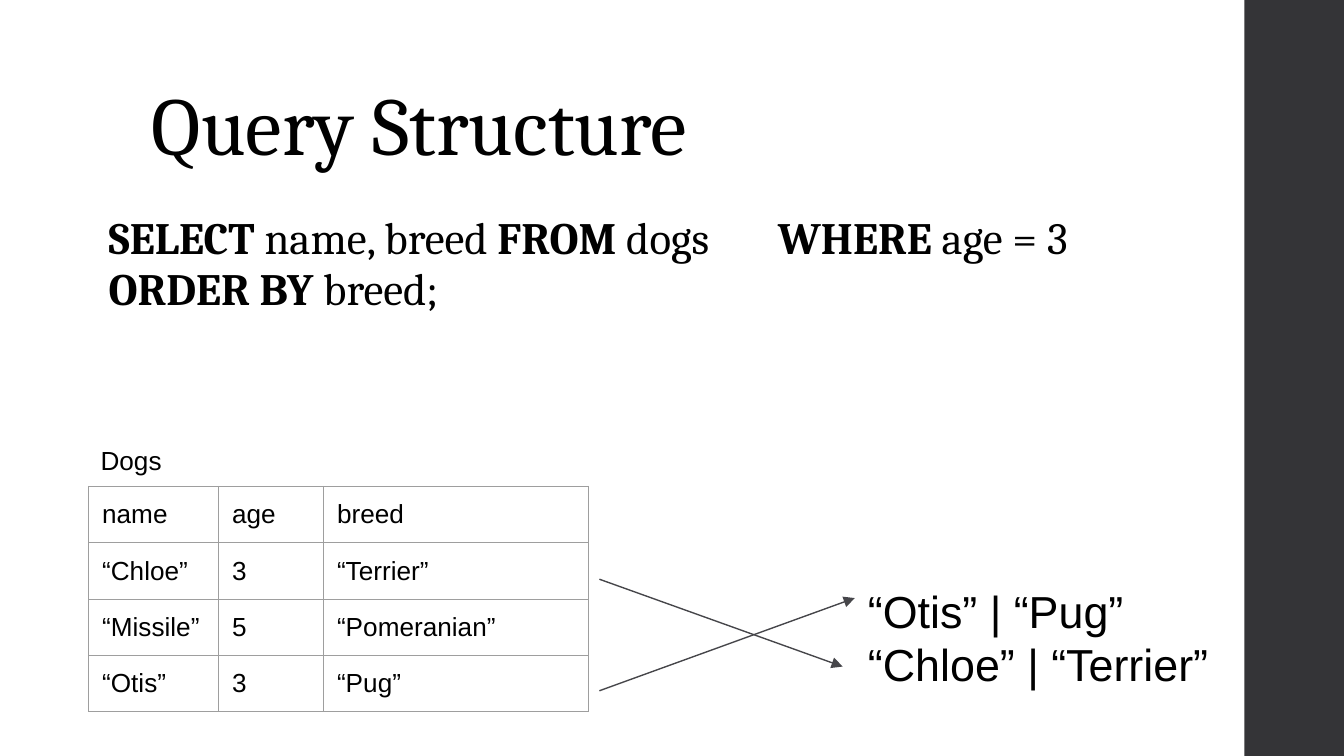
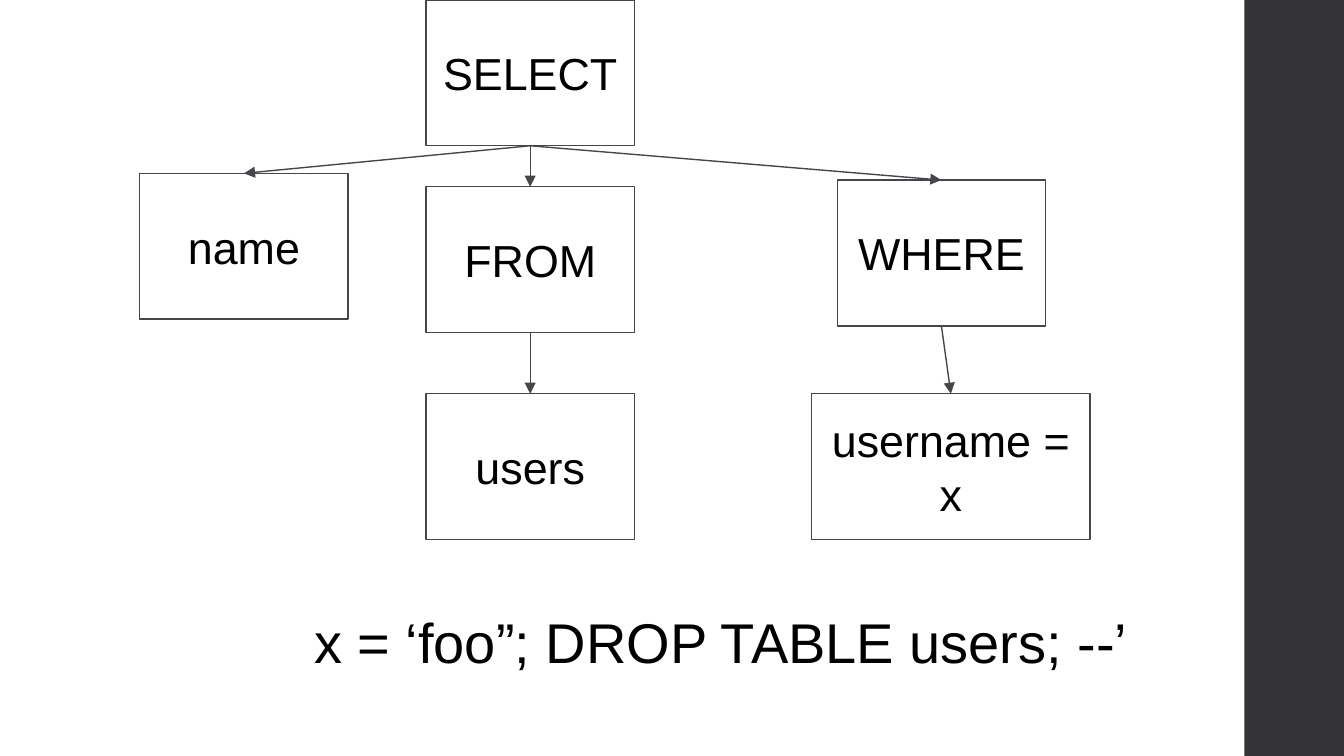
from collections import namedtuple

from lxml import etree
from pptx import Presentation
from pptx.dml.color import RGBColor
from pptx.enum.shapes import MSO_CONNECTOR, MSO_SHAPE
from pptx.enum.text import MSO_ANCHOR, MSO_AUTO_SIZE, PP_ALIGN
from pptx.oxml.ns import qn
from pptx.util import Inches, Pt

STRAIGHT = MSO_CONNECTOR.STRAIGHT
RECT = MSO_SHAPE.RECTANGLE
TOP, MIDDLE, BOTTOM = MSO_ANCHOR.TOP, MSO_ANCHOR.MIDDLE, MSO_ANCHOR.BOTTOM
NO_AUTOFIT = MSO_AUTO_SIZE.NONE
LEFT, CENTER = PP_ALIGN.LEFT, PP_ALIGN.CENTER

WIDTH, HEIGHT = Inches(10), Inches(5.625)
COLS, ROWS = 100, 56.25
BLACK, BAND, LINE, GRID = "000000", "343437", "46464A", "9E9E9E"
SANS, SERIF = "Arial", "Cambria"
INSET = Inches(0.1)
TITLE_ONLY, BLANK = 5, 6
SIDE_TOP, SIDE_BOTTOM = 0, 2

Box = namedtuple("Box", "x y w h")

DOGS = [
    ("name", "age", "breed"),
    ("“Chloe”", "3", "“Terrier”"),
    ("“Missile”", "5", "“Pomeranian”"),
    ("“Otis”", "3", "“Pug”"),
]
NODE_W, NODE_H = 15.5, 10.85
NODES = {
    "SELECT": (21.3, 0, NODE_W),
    "name": (0, 12.9, NODE_W),
    "FROM": (21.3, 13.9, NODE_W),
    "users": (21.3, 29.3, NODE_W),
    "WHERE": (51.9, 13.4, NODE_W),
    "username = x": (50, 29.3, 20.7),
}
EDGES = [
    ("SELECT", "FROM"),
    ("SELECT", "name"),
    ("SELECT", "WHERE"),
    ("FROM", "users"),
    ("WHERE", "username = x"),
]


def color(value):
    """Return the colour of a hex string."""
    return RGBColor.from_string(value)


def col(n):
    """Return the length of n grid columns."""
    return round(WIDTH * n / COLS)


def row(n):
    """Return the length of n grid rows."""
    return round(HEIGHT * n / ROWS)


def place(box):
    """Return left, top, width and height of a grid box."""
    return col(box.x), row(box.y), col(box.w), row(box.h)


def put_text(tf, *lines, size=24, font=SANS, align=LEFT, anchor=TOP,
             spacing=None, tab=None):
    """Write one paragraph per line; ** switches bold on and off."""
    tf.word_wrap = True
    tf.auto_size = NO_AUTOFIT
    tf.vertical_anchor = anchor
    tf.margin_left = tf.margin_right = INSET
    tf.margin_top = tf.margin_bottom = INSET
    for i, line in enumerate(lines):
        p = tf.add_paragraph() if i else tf.paragraphs[0]
        if tab:
            tabs = etree.SubElement(p._p.get_or_add_pPr(), qn("a:tabLst"))
            etree.SubElement(tabs, qn("a:tab"), pos=str(col(tab)), algn="l")
        p.alignment = align
        if spacing:
            p.line_spacing = spacing
        for j, part in enumerate(line.split("**")):
            if part:
                r = p.add_run()
                r.text = part
                r.font.size = Pt(size)
                r.font.name = font
                r.font.bold = j % 2 == 1
                r.font.color.rgb = color(BLACK)


def add_text(s, box, *lines, **fmt):
    """Add a text box."""
    tf = s.shapes.add_textbox(*place(box)).text_frame
    put_text(tf, *lines, **fmt)


def add_rect(s, box, fill=None, line=None):
    """Add a flat rectangle."""
    sp = s.shapes.add_shape(RECT, *place(box))
    sp.shadow.inherit = False
    if fill:
        sp.fill.solid()
        sp.fill.fore_color.rgb = color(fill)
    else:
        sp.fill.background()
    if line:
        sp.line.color.rgb = color(line)
        sp.line.width = Pt(0.75)
    else:
        sp.line.fill.background()
    return sp


def add_arrow(s, x1=0, y1=0, x2=0, y2=0):
    """Add a thin arrow between two grid points."""
    cxn = s.shapes.add_connector(STRAIGHT, col(x1), row(y1), col(x2), row(y2))
    cxn.line.color.rgb = color(LINE)
    cxn.line.width = Pt(0.75)
    etree.SubElement(cxn.line._get_or_add_ln(), qn("a:tailEnd"), type="triangle")
    etree.SubElement(cxn._element.spPr, qn("a:effectLst"))
    return cxn


def add_slide(prs, layout):
    """Add a slide with the dark band on its right."""
    s = prs.slides.add_slide(prs.slide_layouts[layout])
    add_rect(s, Box(92.6, 0, COLS - 92.6, ROWS), fill=BAND)
    return s


def add_title(s, box, text):
    """Move and fill the title placeholder."""
    title = s.shapes.title
    title.left, title.top, title.width, title.height = place(box)
    put_text(title.text_frame, text, size=44, font=SERIF, anchor=BOTTOM,
             spacing=0.9)


def set_borders(cell):
    """Draw thin grey lines on all sides of a cell."""
    tcPr = cell._tc.get_or_add_tcPr()
    for i, side in enumerate(("lnL", "lnR", "lnT", "lnB")):
        ln = etree.Element(qn(f"a:{side}"), w=str(Pt(0.75)))
        fill = etree.SubElement(ln, qn("a:solidFill"))
        etree.SubElement(fill, qn("a:srgbClr"), val=GRID)
        tcPr.insert(i, ln)


def add_dogs(s, box):
    """Add the captioned table of dogs."""
    add_text(s, Box(box.x - 0.1, box.y - 4.1, 8.3, 2.9), "Dogs", size=14)
    frame = s.shapes.add_table(len(DOGS), len(DOGS[0]), *place(box))
    table = frame.table
    table.first_row = table.horz_banding = False
    for column, share in zip(table.columns, (0.26, 0.21, 0.53)):
        column.width = col(box.w * share)
    for i, record in enumerate(DOGS):
        for j, value in enumerate(record):
            cell = table.cell(i, j)
            put_text(cell.text_frame, value, size=14)
            cell.margin_left = cell.margin_right = INSET
            cell.margin_top = cell.margin_bottom = INSET
            cell.fill.background()
            set_borders(cell)


def add_result(s, box):
    """Add the sorted rows and the crossing arrows that lead to them."""
    add_arrow(s, box.x, box.y + 0.7, box.x + 18.1, box.y + 7.2)
    add_arrow(s, box.x, box.y + 9, box.x + 19, box.y + 2.1)
    add_text(s, Box(box.x + 19, box.y, box.w - 19, box.h),
             "“Otis” | “Pug”", "“Chloe” | “Terrier”")


def add_tree(s, box):
    """Add the syntax tree of the query."""
    nodes = {}
    for text, (x, y, w) in NODES.items():
        sp = add_rect(s, Box(box.x + x, box.y + y, w, NODE_H), line=LINE)
        put_text(sp.text_frame, text, align=CENTER, anchor=MIDDLE)
        nodes[text] = sp
    for parent, child in EDGES:
        cxn = add_arrow(s)
        cxn.begin_connect(nodes[parent], SIDE_BOTTOM)
        cxn.end_connect(nodes[child], SIDE_TOP)


def query_slide(prs):
    """Build the slide on the parts of a query."""
    s = add_slide(prs, TITLE_ONLY)
    add_title(s, Box(10.3, 3, 79.5, 10.9), "Query Structure")
    add_text(s, Box(7.1, 14.9, 76.2, 35.7),
             "**SELECT** name, breed **FROM** dogs\t**WHERE** age = 3 "
             "**ORDER BY** breed;",
             font=SERIF, spacing=0.95, tab=49.8)
    add_dogs(s, Box(6.6, 36.2, 37.2, 16.7))
    add_result(s, Box(44.6, 42.4, 48.9, 4.3))


def tree_slide(prs):
    """Build the slide on the parsed query and the injected value."""
    s = add_slide(prs, BLANK)
    add_tree(s, Box(10.4, 0, 70.7, 40.1))
    add_text(s, Box(22.4, 44.2, 65.3, 10.8),
             "x = ‘foo”; DROP TABLE users; --’", size=30)


def main():
    """Build and save the deck."""
    prs = Presentation()
    prs.slide_width, prs.slide_height = WIDTH, HEIGHT
    query_slide(prs)
    tree_slide(prs)
    prs.save("out.pptx")


if __name__ == "__main__":
    main()
